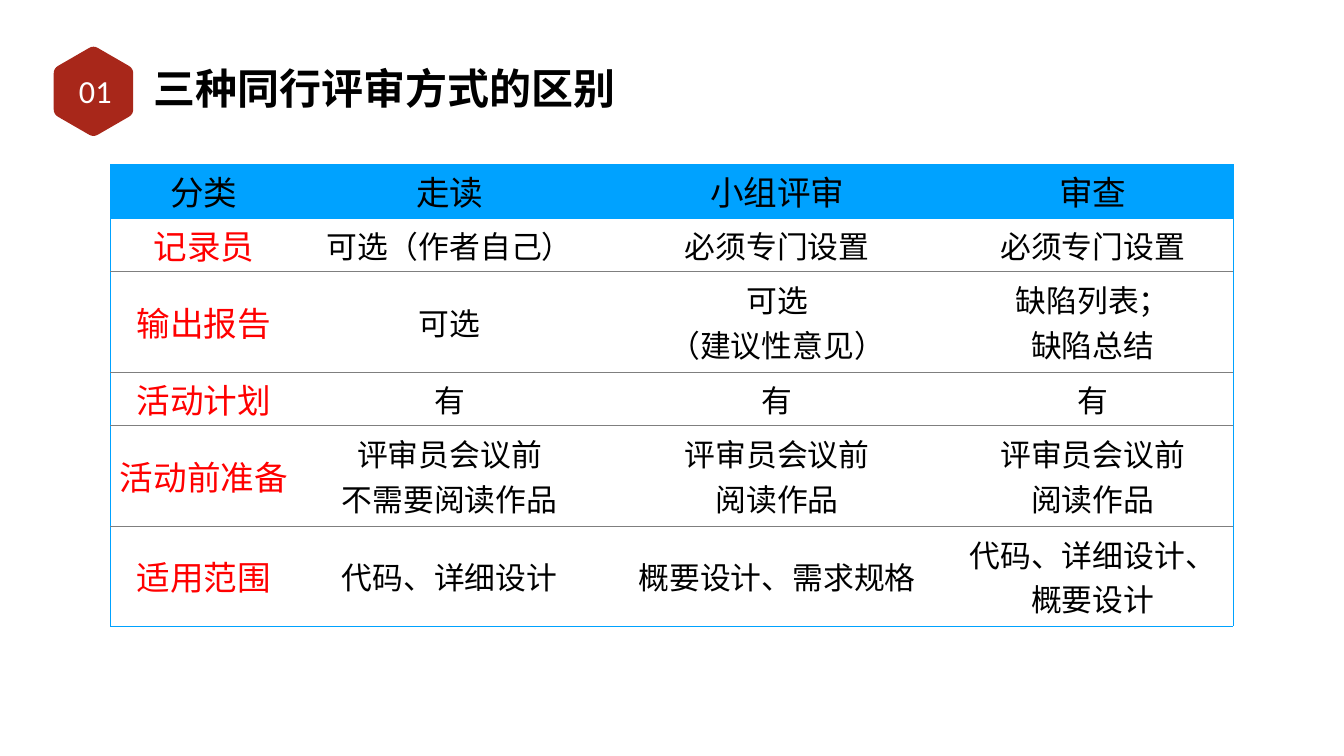
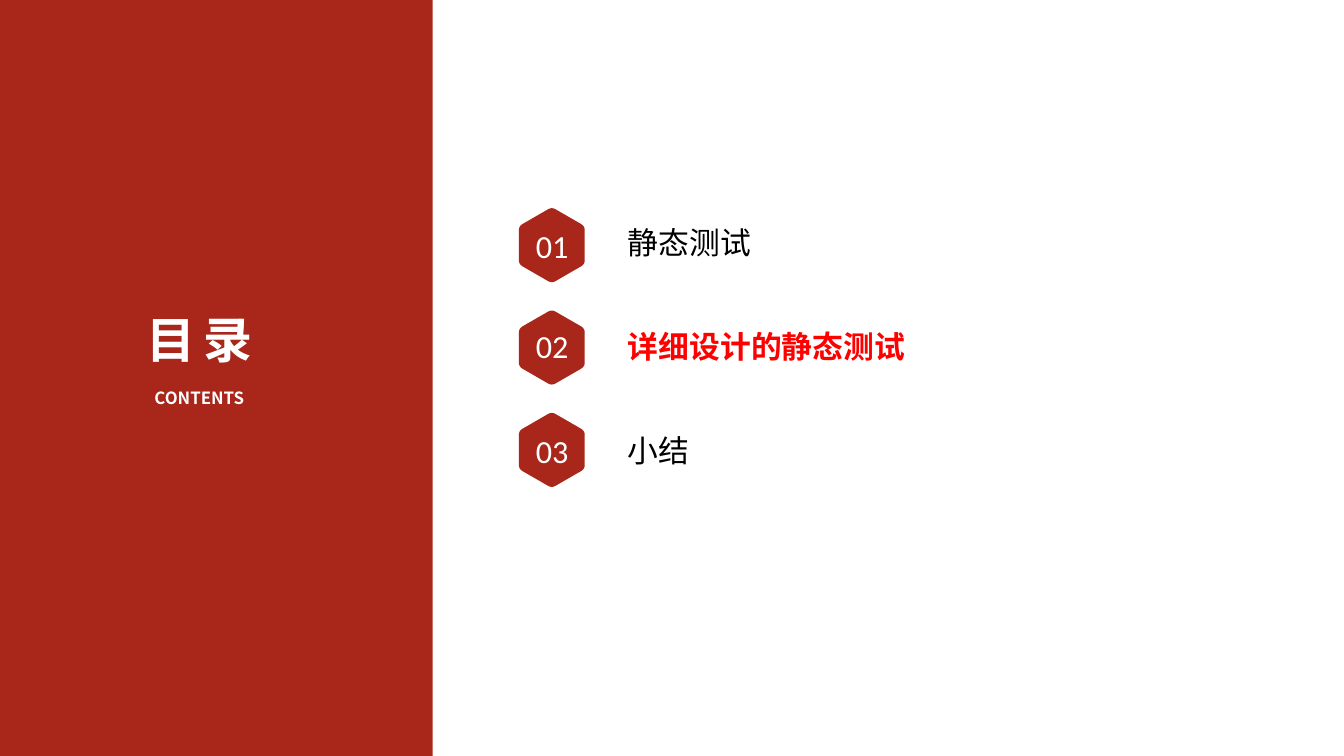
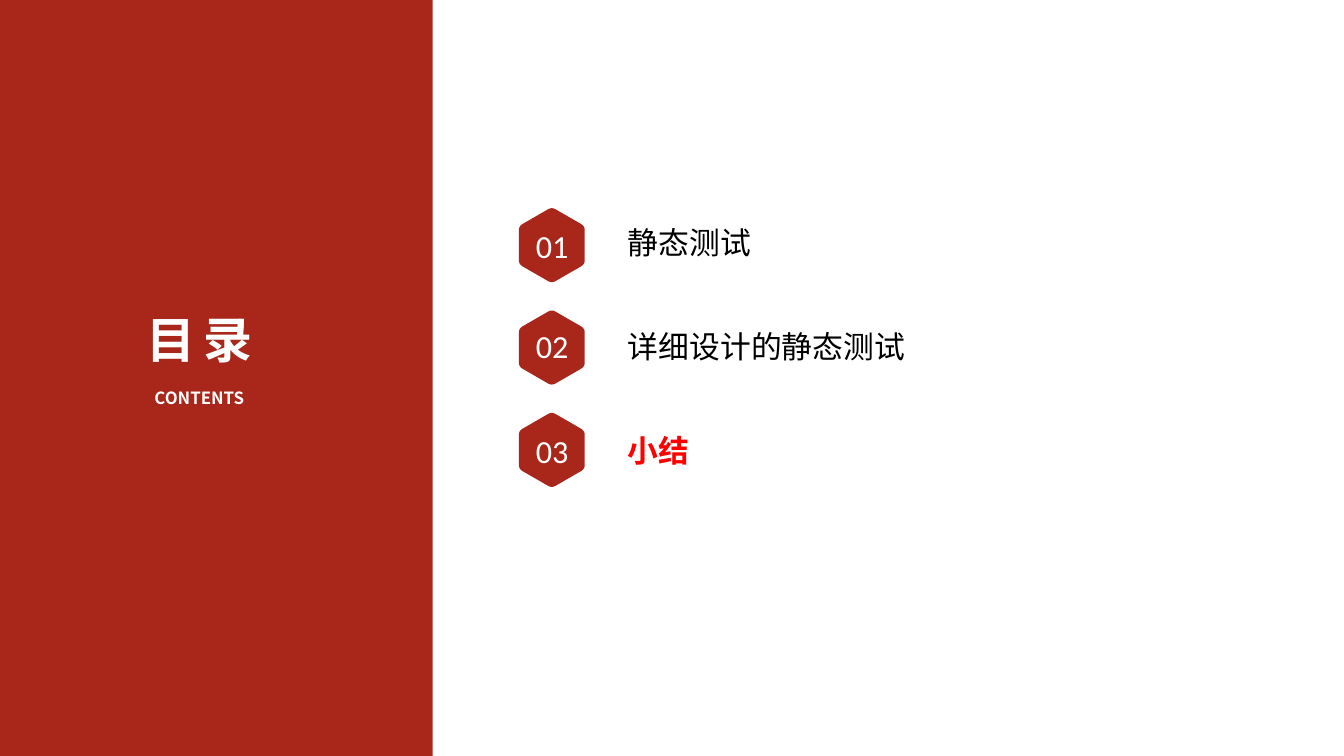
from dataclasses import dataclass
from math import cos, pi, sin

from lxml.etree import SubElement
from pptx import Presentation
from pptx.dml.color import RGBColor
from pptx.enum.shapes import MSO_SHAPE
from pptx.enum.text import MSO_ANCHOR, MSO_AUTO_SIZE, PP_ALIGN
from pptx.oxml.ns import qn
from pptx.util import Pt

PX = 9525
WIDTH, HEIGHT = 2560, 1440
TITLE_ONLY = 5
NO_STYLE = "{2D5ABB26-0587-4C30-8999-92F81FD0307C}"


@dataclass(frozen=True)
class Theme:
    brand: str = "A8271A"
    accent: str = "00A2FF"
    rule: str = "7F7F7F"
    highlight: str = "FF0000"
    ink: str = "000000"
    paper: str = "FFFFFF"
    text_font: str = "Noto Sans CJK SC"
    number_font: str = "Calibri"
    title_size: int = 60
    contents_size: int = 70
    caption_size: int = 24
    number_size: int = 46
    heading_size: int = 48
    body_size: int = 44
    contents_spacing: float = 11.7


THEME = Theme()
BODY = {"size": THEME.body_size, "color": THEME.ink}
HEADING = {"size": THEME.heading_size, "color": THEME.ink}
ROW_HEADING = HEADING | {"color": THEME.highlight}
ACTIVE = BODY | {"color": THEME.highlight, "bold": True}
TITLE = {"size": THEME.title_size, "color": THEME.ink, "bold": True}
CONTENTS = {"size": THEME.contents_size, "color": THEME.paper, "bold": True}
CAPTION = CONTENTS | {"size": THEME.caption_size}
NUMBER = {"size": THEME.number_size, "color": THEME.paper, "name": THEME.number_font}

REVIEW_ROWS = [
    ["分类", "走读", "小组评审", "审查"],
    ["记录员", "可选（作者自己）", "必须专门设置", "必须专门设置"],
    ["输出报告", "可选", "可选\n（建议性意见）", "缺陷列表；\n缺陷总结"],
    ["活动计划", "有", "有", "有"],
    ["活动前准备", "评审员会议前\n不需要阅读作品", "评审员会议前\n阅读作品", "评审员会议前\n阅读作品"],
    ["适用范围", "代码、详细设计", "概要设计、需求规格", "代码、详细设计、概要设计"],
]
COLUMN_WIDTHS = [355, 581, 667, 535]
SHORT_ROW, TALL_ROW = 101, 191
ROW_HEIGHTS = [SHORT_ROW, SHORT_ROW, TALL_ROW, SHORT_ROW, TALL_ROW, TALL_ROW]

# label, label width, label height, vertical shift of the number
CHAPTERS = [
    ("静态测试", 401, 89, 0),
    ("详细设计的静态测试", 592, 70, -4),
    ("小结", 401, 78, 0),
]


def rounded_hexagon(center_x, center_y, length, rounding=0.11, steps=4):
    """Points in px of a hexagon with its tips left and right and soft corners."""
    radius = length / 2 / (1 - rounding / 4)
    corners = [
        (center_x + radius * cos(i * pi / 3), center_y + radius * sin(i * pi / 3))
        for i in range(6)
    ]
    points = []
    for i, corner in enumerate(corners):
        before, after = corners[i - 1], corners[(i + 1) % 6]
        for t in (step / steps for step in range(steps + 1)):
            pull_back, pull_on = rounding * (1 - t) ** 2, rounding * t ** 2
            points.append(tuple(
                c + pull_back * (b - c) + pull_on * (a - c)
                for b, c, a in zip(before, corner, after)
            ))
    return points


class Deck:
    def __init__(self, theme):
        self.theme = theme
        self.presentation = Presentation()
        self.presentation.slide_width = WIDTH * PX
        self.presentation.slide_height = HEIGHT * PX
        self.slide = None

    def add_slide(self):
        layout = self.presentation.slide_layouts[TITLE_ONLY]
        self.slide = self.presentation.slides.add_slide(layout)

    def paint(self, shape, color):
        shape.shadow.inherit = False
        shape.fill.solid()
        shape.fill.fore_color.rgb = RGBColor.from_string(color)
        shape.line.fill.background()

    def set_text(self, frame, text, style, align, spacing=0):
        frame.text = text
        values = {"name": self.theme.text_font, "bold": False} | style
        color = RGBColor.from_string(values.pop("color"))
        values["size"] = Pt(values["size"])
        for paragraph in frame.paragraphs:
            paragraph.alignment = align
            for run in paragraph.runs:
                for name, value in values.items():
                    setattr(run.font, name, value)
                run.font.color.rgb = color
                properties = run._r.get_or_add_rPr()
                SubElement(properties, qn("a:ea"), typeface=values["name"])
                if spacing:
                    properties.set("spc", str(round(spacing * 100)))

    def set_frame(self, frame, anchor, inset):
        values = {"word_wrap": True, "auto_size": MSO_AUTO_SIZE.NONE, "vertical_anchor": anchor}
        values |= {f"margin_{side}": inset * PX for side in ("left", "top", "right", "bottom")}
        for name, value in values.items():
            setattr(frame, name, value)

    def title(self, text, box, style, align=PP_ALIGN.LEFT, anchor=MSO_ANCHOR.MIDDLE,
              inset=6, spacing=0):
        """Fill the title placeholder and bring it in front of what is drawn so far."""
        shape = self.slide.shapes.title
        for name, value in zip(("left", "top", "width", "height"), box):
            setattr(shape, name, value * PX)
        self.set_frame(shape.text_frame, anchor, inset)
        self.set_text(shape.text_frame, text, style, align, spacing)
        self.slide.shapes.element.append(shape.element)

    def text(self, text, box, style, align=PP_ALIGN.LEFT, anchor=MSO_ANCHOR.TOP):
        shape = self.slide.shapes.add_textbox(*(value * PX for value in box))
        self.set_frame(shape.text_frame, anchor, 5)
        self.set_text(shape.text_frame, text, style, align)

    def panel(self, box):
        shape = self.slide.shapes.add_shape(MSO_SHAPE.RECTANGLE, *(value * PX for value in box))
        self.paint(shape, self.theme.brand)

    def hexagon(self, center_x, center_y, length):
        points = [(x * PX, y * PX) for x, y in rounded_hexagon(center_x, center_y, length)]
        builder = self.slide.shapes.build_freeform(*points[0])
        builder.add_line_segments(points[1:], close=True)
        shape = builder.convert_to_shape()
        shape.rotation = 90
        self.paint(shape, self.theme.brand)

    def number(self, number, center_x, center_y):
        width, height = 167, 101
        box = (center_x - width // 2, center_y - height // 2, width, height)
        self.text(f"{number:02d}", box, NUMBER, PP_ALIGN.CENTER, MSO_ANCHOR.MIDDLE)

    def border(self, cell, side, color):
        line = SubElement(cell._tc.get_or_add_tcPr(), qn(f"a:ln{side}"), w=str(Pt(1)))
        if color:
            fill = SubElement(line, qn("a:solidFill"))
            SubElement(fill, qn("a:srgbClr"), val=color)
        else:
            SubElement(line, qn("a:noFill"))

    def table(self, rows, left, top, widths, heights):
        """Table with a coloured heading row, ruled rows and an accent frame."""
        theme = self.theme
        last_row, last_column = len(rows) - 1, len(widths) - 1
        table = self.slide.shapes.add_table(
            len(rows), len(widths), left * PX, top * PX, sum(widths) * PX, sum(heights) * PX
        ).table
        table.horz_banding = False
        table._tbl.tblPr.find(qn("a:tableStyleId")).text = NO_STYLE
        for column, width in zip(table.columns, widths):
            column.width = width * PX
        for row, height in zip(table.rows, heights):
            row.height = height * PX
        for i, texts in enumerate(rows):
            for j, text in enumerate(texts):
                cell = table.cell(i, j)
                self.border(cell, "L", theme.accent if j == 0 else None)
                self.border(cell, "R", theme.accent if j == last_column else None)
                self.border(cell, "T", theme.accent if i < 2 else theme.rule)
                self.border(cell, "B", theme.accent if i in (0, last_row) else theme.rule)
                cell.fill.solid()
                fill = theme.accent if i == 0 else theme.paper
                cell.fill.fore_color.rgb = RGBColor.from_string(fill)
                cell.vertical_anchor = MSO_ANCHOR.MIDDLE
                style = HEADING if i == 0 else ROW_HEADING if j == 0 else BODY
                self.set_text(cell.text_frame, text, style, PP_ALIGN.CENTER)


def add_review_slide(deck):
    deck.add_slide()
    deck.hexagon(178, 174, 170)
    deck.title("三种同行评审方式的区别", (287, 113, 1205, 109), TITLE)
    deck.table(REVIEW_ROWS, 211, 313, COLUMN_WIDTHS, ROW_HEIGHTS)
    deck.number(1, 181, 172)


def add_contents_slide(deck, active):
    """Contents slide on which the chapter numbered active stands out."""
    deck.add_slide()
    deck.panel((0, 0, 824, HEIGHT))
    deck.text("CONTENTS", (180, 733, 399, 95), CAPTION, PP_ALIGN.CENTER)
    deck.title("目录", (108, 584, 545, 274), CONTENTS, PP_ALIGN.CENTER, MSO_ANCHOR.TOP,
               inset=5, spacing=THEME.contents_spacing)
    for i, (label, width, height, shift) in enumerate(CHAPTERS):
        center_y = 467 + 195 * i
        style = ACTIVE if i + 1 == active else BODY
        deck.text(label, (1191, 422 + 198 * i, width, height), style)
        deck.hexagon(1051, center_y, 141)
        deck.number(i + 1, 1051, center_y + shift)


def main():
    deck = Deck(THEME)
    add_review_slide(deck)
    for active in (2, 3):
        add_contents_slide(deck, active)
    deck.presentation.save("out.pptx")


if __name__ == "__main__":
    main()
